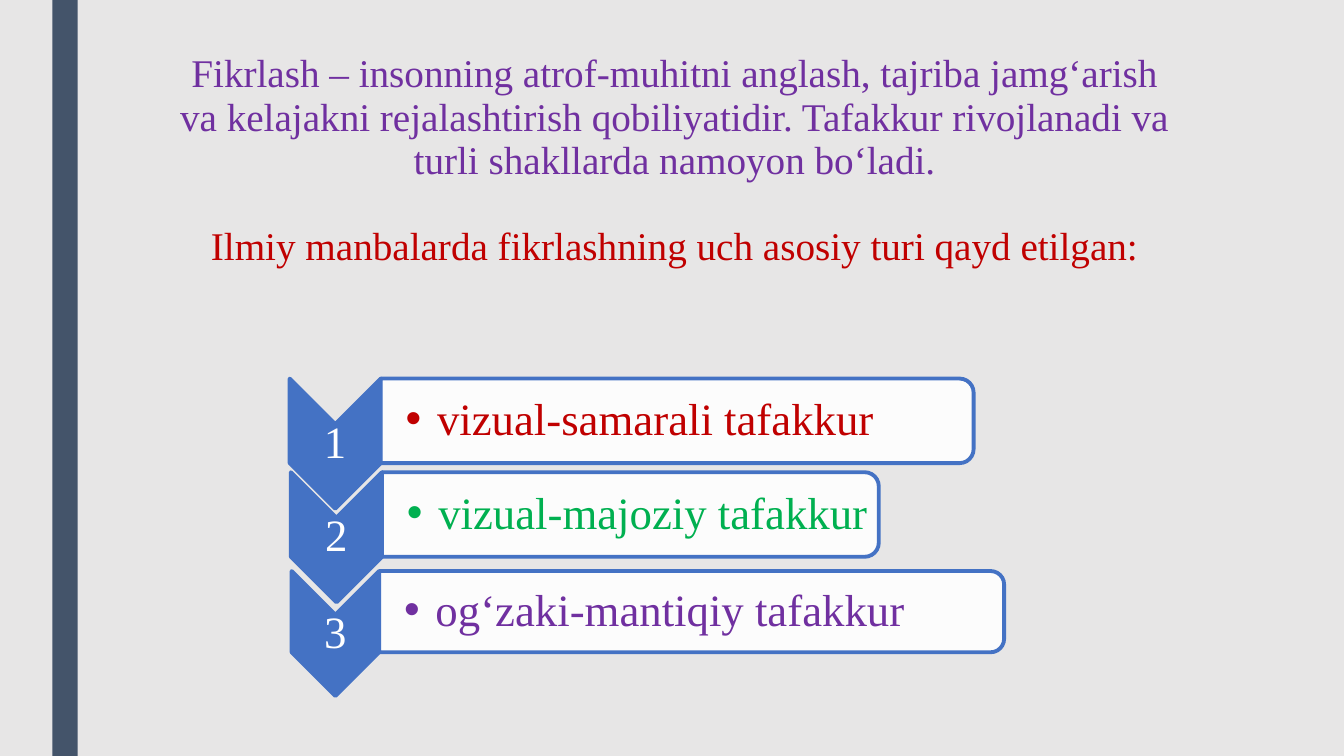
from dataclasses import dataclass

from lxml.etree import SubElement
from pptx import Presentation
from pptx.dml.color import RGBColor
from pptx.enum.shapes import MSO_SHAPE
from pptx.enum.text import MSO_ANCHOR, PP_ALIGN
from pptx.oxml.ns import qn
from pptx.util import Cm, Pt


@dataclass(frozen=True)
class Theme:
    font: str = "Times New Roman"
    background: str = "E7E6E6"
    stripe: str = "44546A"
    accent: str = "4472C4"
    white: str = "FFFFFF"
    purple: str = "7030A0"
    red: str = "C00000"
    green: str = "00B050"
    heading_size: int = 28
    item_size: int = 32
    outline: float = 2.75


def rgb(color):
    return RGBColor.from_string(color)


def write(paragraph, content, *, font, size, color, align=PP_ALIGN.LEFT,
          spacing=0.9, before=0, bullet=False):
    paragraph.alignment = align
    paragraph.line_spacing = spacing
    paragraph.space_before = Pt(before)
    run = paragraph.add_run()
    run.text = content
    run.font.name = font
    run.font.size = Pt(size)
    run.font.color.rgb = rgb(color)
    if bullet:
        properties = paragraph._p.get_or_add_pPr()
        properties.set("marL", str(Cm(0.79)))
        properties.set("indent", str(-Cm(0.79)))
        SubElement(properties, qn("a:buFont"), typeface="Arial")
        SubElement(properties, qn("a:buChar"), char="•")


class SlideBuilder:
    def __init__(self, slide, theme):
        self.slide = slide
        self.theme = theme
        slide.background.fill.solid()
        slide.background.fill.fore_color.rgb = rgb(theme.background)

    def shape(self, parent, kind, left, top, width, height, fill,
              outline=None, opacity=None, quarter_turn=False):
        """Draw a preset shape; the box given is the one seen after turning."""
        if quarter_turn:
            left += (width - height) / 2
            top += (height - width) / 2
            width, height = height, width
        drawn = parent.add_shape(kind, Cm(left), Cm(top), Cm(width), Cm(height))
        drawn.rotation = 90 if quarter_turn else 0
        drawn.shadow.inherit = False
        drawn.fill.solid()
        drawn.fill.fore_color.rgb = rgb(fill)
        if opacity is not None:
            color = drawn.fill._xPr.find(qn("a:solidFill"))[0]
            SubElement(color, qn("a:alpha"), val=str(opacity * 1000))
        if outline:
            drawn.line.color.rgb = rgb(outline)
            drawn.line.width = Pt(self.theme.outline)
        else:
            drawn.line.fill.background()

    def text_frame(self, parent, left, top, width, height,
                   anchor=MSO_ANCHOR.MIDDLE, inset=0.05, inset_left=0.05):
        frame = parent.add_textbox(Cm(left), Cm(top), Cm(width), Cm(height)).text_frame
        frame.word_wrap = True
        frame.vertical_anchor = anchor
        frame.margin_top = frame.margin_right = frame.margin_bottom = Cm(inset)
        frame.margin_left = Cm(inset_left)
        return frame

    def heading(self, definition, lead_in):
        theme = self.theme
        frame = self.text_frame(self.slide.shapes, 4.09, 1.19, 25.7, 11.91,
                                MSO_ANCHOR.TOP, inset=0.13, inset_left=0.25)
        style = dict(font=theme.font, size=theme.heading_size,
                     align=PP_ALIGN.CENTER, spacing=0.93)
        write(frame.paragraphs[0], definition, color=theme.purple, **style)
        write(frame.add_paragraph(), lead_in, color=theme.red, before=30, **style)

    def thinking_type(self, number, label, color, left, top, height, bar_width):
        """Draw a numbered down-pointing chevron with its labelled bar."""
        theme = self.theme
        parent = self.slide.shapes.add_group_shape().shapes
        chevron_width = 0.7 * height
        bar_left = left + chevron_width
        bar_height = 0.65 * height
        style = dict(font=theme.font, size=theme.item_size)

        self.shape(parent, MSO_SHAPE.CHEVRON, left, top, chevron_width, height,
                   theme.accent, outline=theme.accent, quarter_turn=True)
        digit = self.text_frame(parent, left, top + chevron_width / 2,
                                chevron_width, height - chevron_width)
        write(digit.paragraphs[0], str(number), color=theme.white,
              align=PP_ALIGN.CENTER, **style)

        self.shape(parent, MSO_SHAPE.ROUND_2_SAME_RECTANGLE, bar_left, top,
                   bar_width, bar_height, theme.white, outline=theme.accent,
                   opacity=90, quarter_turn=True)
        caption = self.text_frame(parent, bar_left, top + 0.1, bar_width - 0.1,
                                  bar_height - 0.2, inset_left=0.63)
        write(caption.paragraphs[0], label, color=color, bullet=True, **style)


def main():
    theme = Theme()
    presentation = Presentation()
    presentation.slide_width = Cm(33.87)
    presentation.slide_height = Cm(19.05)
    builder = SlideBuilder(
        presentation.slides.add_slide(presentation.slide_layouts[6]), theme)

    builder.shape(builder.slide.shapes, MSO_SHAPE.RECTANGLE,
                  1.32, 0, 0.64, 19.05, theme.stripe)
    builder.heading(
        "Fikrlash – insonning atrof-muhitni anglash, tajriba jamg‘arish va "
        "kelajakni rejalashtirish qobiliyatidir. Tafakkur rivojlanadi va "
        "turli shakllarda namoyon bo‘ladi.",
        "Ilmiy manbalarda fikrlashning uch asosiy turi qayd etilgan:")

    thinking_types = [
        ("vizual-samarali tafakkur", theme.red, 7.3, 9.54, 3.28, 14.94),
        ("vizual-majoziy tafakkur", theme.green, 7.33, 11.9, 3.28, 12.52),
        ("og‘zaki-mantiqiy tafakkur", theme.purple, 7.35, 14.39, 3.15, 15.75),
    ]
    for number, details in enumerate(thinking_types, start=1):
        builder.thinking_type(number, *details)

    presentation.save("out.pptx")


if __name__ == "__main__":
    main()
